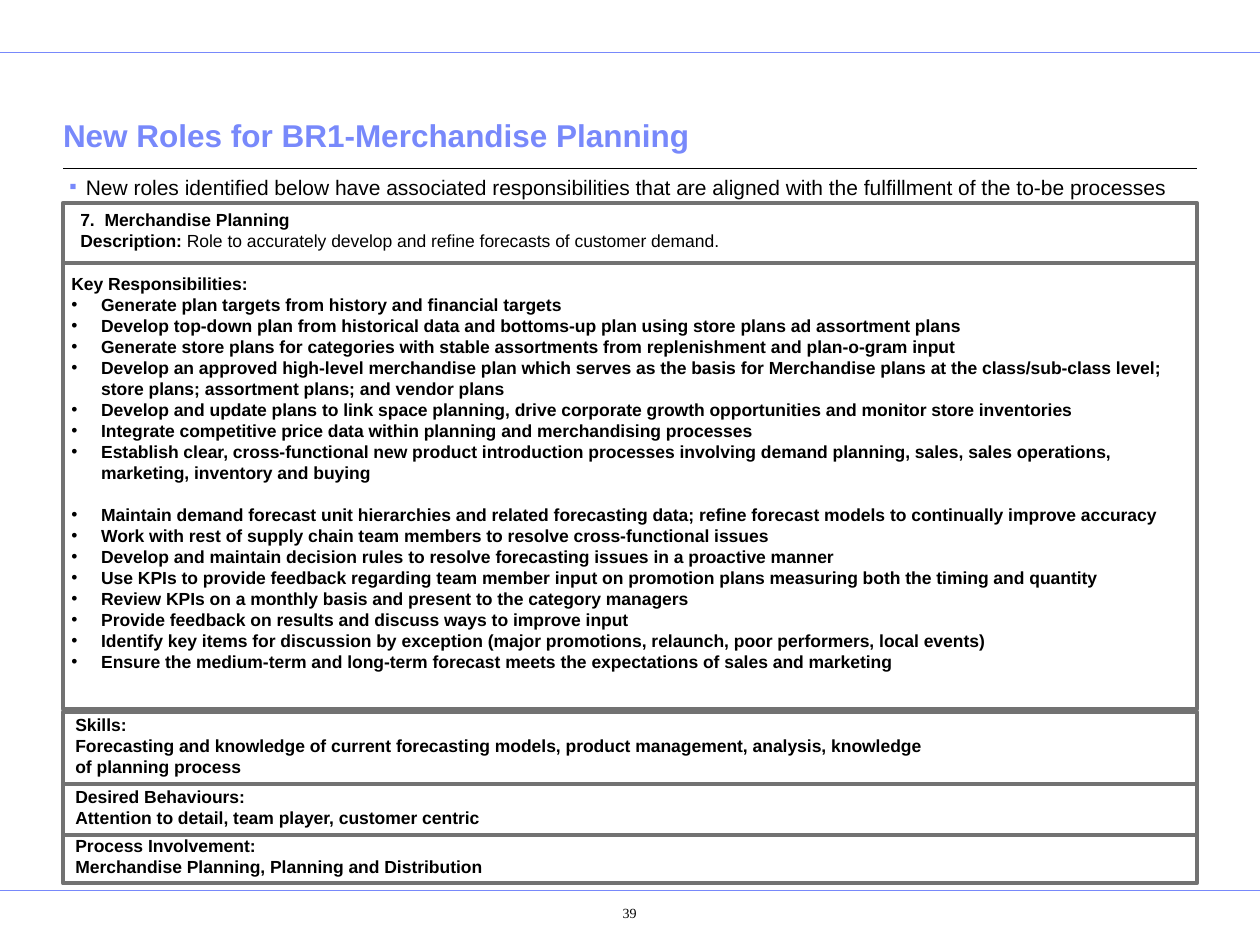
import pptx
import pptx.dml.color
import pptx.enum.shapes
import pptx.enum.text
import pptx.oxml.ns
import pptx.util
from lxml import etree
from pptx.util import Cm, Pt

BLUE, GREY, BLACK = "7889FB", "727272", "000000"
LEFT, WIDTH = 1.27, 22.86


def color(value):
    return pptx.dml.color.RGBColor.from_string(value)


def sub(parent, tag, **attrs):
    return etree.SubElement(parent, pptx.oxml.ns.qn(tag), attrs)


def add_text(p, text, size=10, bold=False, fill=BLACK, font="Arial"):
    r = p.add_run()
    r.text = text
    r.font.size, r.font.bold, r.font.name = Pt(size), bold, font
    r.font.color.rgb = color(fill)


def add_bullet(p, char, fill, indent):
    pPr = p._p.get_or_add_pPr()
    pPr.set("marL", str(Cm(indent)))
    pPr.set("indent", str(-Cm(indent)))
    sub(sub(pPr, "a:buClr"), "a:srgbClr", val=fill)
    sub(pPr, "a:buFont", typeface="Arial")
    sub(pPr, "a:buChar", char=char)


class SlideBuilder:
    """Holds the current slide and the style of its elements."""

    def __init__(self, prs):
        self.s = prs.slides.add_slide(prs.slide_layouts[1])

    def frame(self, sp, insets=(0.25, 0.13, 0.25, 0.13), anchor="TOP", wrap=True):
        tf = sp.text_frame
        tf.word_wrap = wrap
        tf.auto_size = pptx.enum.text.MSO_AUTO_SIZE.NONE
        tf.vertical_anchor = getattr(pptx.enum.text.MSO_ANCHOR, anchor)
        (tf.margin_left, tf.margin_top,
         tf.margin_right, tf.margin_bottom) = map(Cm, insets)
        return tf

    def placeholder(self, index, x, y, w, h, **style):
        sp = self.s.placeholders[index]
        sp.left, sp.top, sp.width, sp.height = map(Cm, (x, y, w, h))
        p = self.frame(sp, **style).paragraphs[0]
        p.alignment = pptx.enum.text.PP_ALIGN.LEFT
        p.space_before = Pt(0)
        return p

    def line(self, x, y, w, fill, weight):
        c = self.s.shapes.add_connector(
            pptx.enum.shapes.MSO_CONNECTOR.STRAIGHT, Cm(x), Cm(y), Cm(x + w), Cm(y))
        c.line.color.rgb, c.line.width = color(fill), Pt(weight)
        sub(c._element.spPr, "a:effectLst")

    def box(self, y, h):
        sp = self.s.shapes.add_shape(
            pptx.enum.shapes.MSO_SHAPE.RECTANGLE, Cm(LEFT), Cm(y), Cm(WIDTH), Cm(h))
        sp.shadow.inherit = False
        sp.fill.background()
        sp.line.color.rgb, sp.line.width = color(GREY), Pt(2.25)

    def text_box(self, x, y, w, h, **style):
        sp = self.s.shapes.add_textbox(*map(Cm, (x, y, w, h)))
        return self.frame(sp, **style)

    def section(self, x, y, w, h, heading, wrap=True):
        tf = self.text_box(x, y, w, h, wrap=wrap)
        p = tf.paragraphs[0]
        p.line_spacing = Pt(12)
        add_text(p, heading, bold=True)
        return tf

    def paragraph(self, tf):
        p = tf.add_paragraph()
        p.line_spacing = Pt(12)
        return p


RESPONSIBILITIES = [
    "Generate plan targets from history and financial targets",
    "Develop top-down plan from historical data and bottoms-up plan using store plans ad assortment plans",
    "Generate store plans for categories with stable assortments from replenishment and plan-o-gram input",
    "Develop an approved high-level merchandise plan which serves as the basis for Merchandise plans at the "
    "class/sub-class level; store plans; assortment plans; and vendor plans",
    "Develop and update plans to link space planning, drive corporate growth opportunities and monitor store "
    "inventories",
    "Integrate competitive price data within planning and merchandising processes",
    "Establish clear, cross-functional new product introduction processes involving demand planning, sales, "
    "sales operations, marketing, inventory and buying",
]
FORECAST_DUTIES = [
    "Maintain demand forecast unit hierarchies and related forecasting data; refine forecast models to "
    "continually improve accuracy",
    "Work with rest of supply chain team members to resolve cross-functional issues",
    "Develop and maintain decision rules to resolve forecasting issues in a proactive manner",
    "Use KPIs to provide feedback regarding team member input on promotion plans measuring both the timing "
    "and quantity",
    "Review KPIs on a monthly basis and present to the category managers",
    "Provide feedback on results and discuss ways to improve input",
    "Identify key items for discussion by exception (major promotions, relaunch, poor performers, local events)",
    "Ensure the medium-term and long-term forecast meets the expectations of sales and marketing",
]
# x, y, width, height, heading, text, wrap
CLOSING_SECTIONS = [
    (1.27, 14.27, 17.81, 1.52, "Skills:",
     "Forecasting and knowledge of current forecasting models, product management, analysis, knowledge of "
     "planning process", True),
    (1.27, 15.72, 8.66, 1.12, "Desired Behaviours:",
     "Attention to detail, team player, customer centric", False),
    (1.27, 16.71, 21.64, 1.12, "Process Involvement:",
     "Merchandise Planning, Planning and Distribution", True),
]


def main():
    prs = pptx.Presentation()
    prs.slide_width, prs.slide_height = Cm(25.4), Cm(19.05)
    b = SlideBuilder(prs)

    # Page rules
    for y in (1.06, 17.96):
        b.line(0, y, 25.4, BLUE, 0.5)
    b.line(LEFT, 3.4, WIDTH, BLACK, 0.75)

    # Title and introduction
    p = b.placeholder(0, LEFT, 1.63, WIDTH, 1.6,
                      insets=(0, 0.13, 0, 0.13), anchor="BOTTOM")
    add_text(p, "New Roles for BR1-Merchandise Planning", size=18, bold=True, fill=BLUE)
    p = b.placeholder(1, LEFT, 3.36, WIDTH, 14, insets=(0.13,) * 4)
    add_bullet(p, "▪", BLUE, 0.33)
    p.line_spacing = 1.04
    add_text(p, "New roles identified below have associated responsibilities that are "
                "aligned with the fulfillment of the to-be processes", size=12)

    # Frames of the role sheet
    for y, h in ((4.09, 1.22), (5.31, 8.99), (14.35, 1.45), (15.8, 1.04), (16.84, 0.97)):
        b.box(y, h)

    # Role and description
    tf = b.section(1.37, 4.09, 19.43, 1.12, "7.  Merchandise Planning")
    p = b.paragraph(tf)
    add_text(p, "Description:", bold=True)
    add_text(p, " Role to accurately develop and refine forecasts of customer demand.")

    # Key responsibilities, in two groups
    tf = b.section(1.19, 5.38, 22.89, 7.9, "Key Responsibilities:")
    for group, gap in ((RESPONSIBILITIES, 0), (FORECAST_DUTIES, 12)):
        for i, duty in enumerate(group):
            p = b.paragraph(tf)
            add_bullet(p, "•", BLACK, 0.6)
            p.space_before = Pt(0 if i else gap)
            add_text(p, duty, bold=True)

    # Skills, behaviours and processes
    for x, y, w, h, heading, text, wrap in CLOSING_SECTIONS:
        tf = b.section(x, y, w, h, heading, wrap)
        add_text(b.paragraph(tf), text, bold=True)

    # Page number
    tf = b.text_box(10.85, 18.06, 2.92, 0.89, insets=(0.41, 0.18, 0.25, 0.13))
    p = tf.paragraphs[0]
    p.alignment = pptx.enum.text.PP_ALIGN.CENTER
    p._p.get_or_add_pPr().set("marL", str(Cm(0.61)))
    add_text(p, "39", size=8, font="Times New Roman")

    prs.save("out.pptx")


if __name__ == "__main__":
    main()
